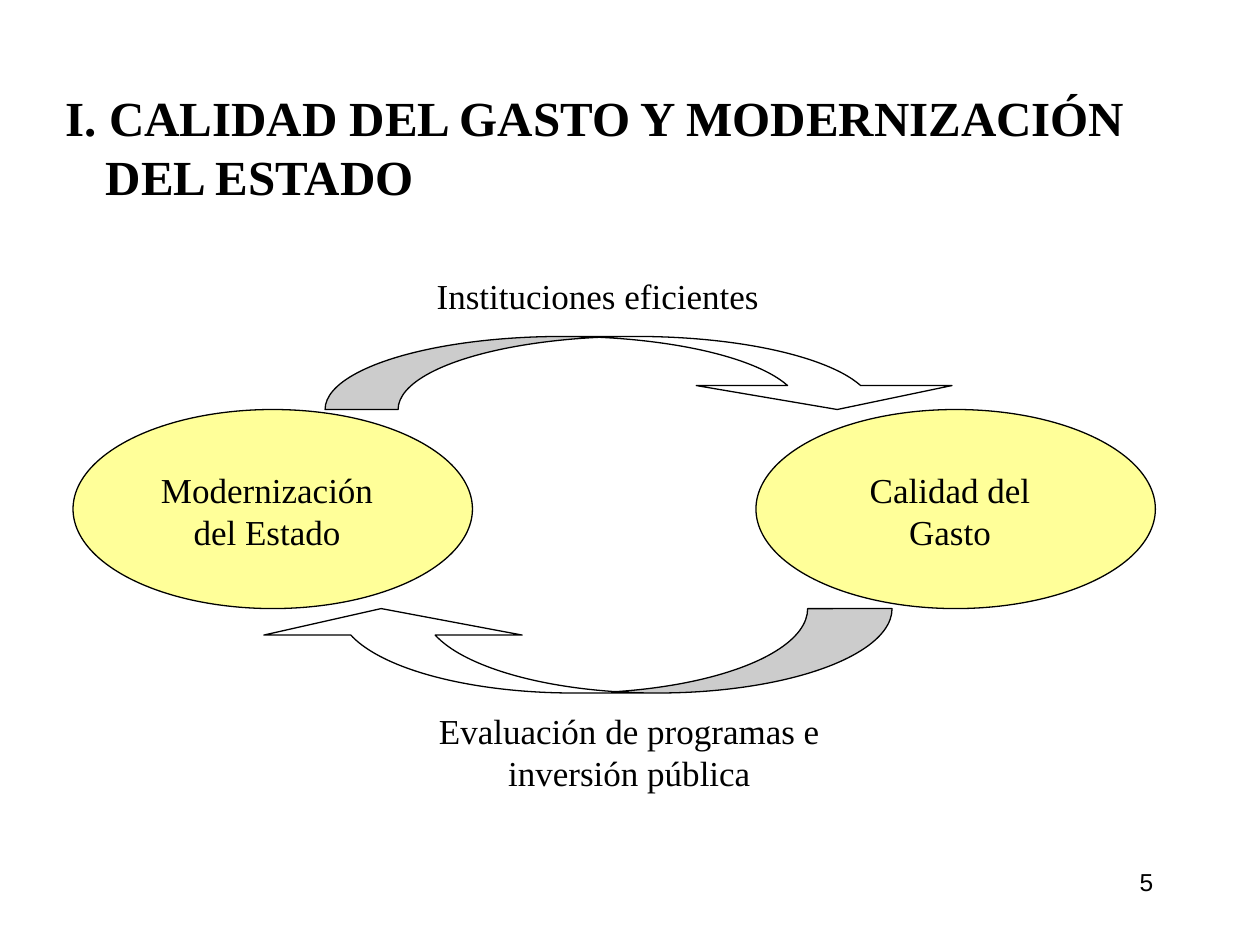
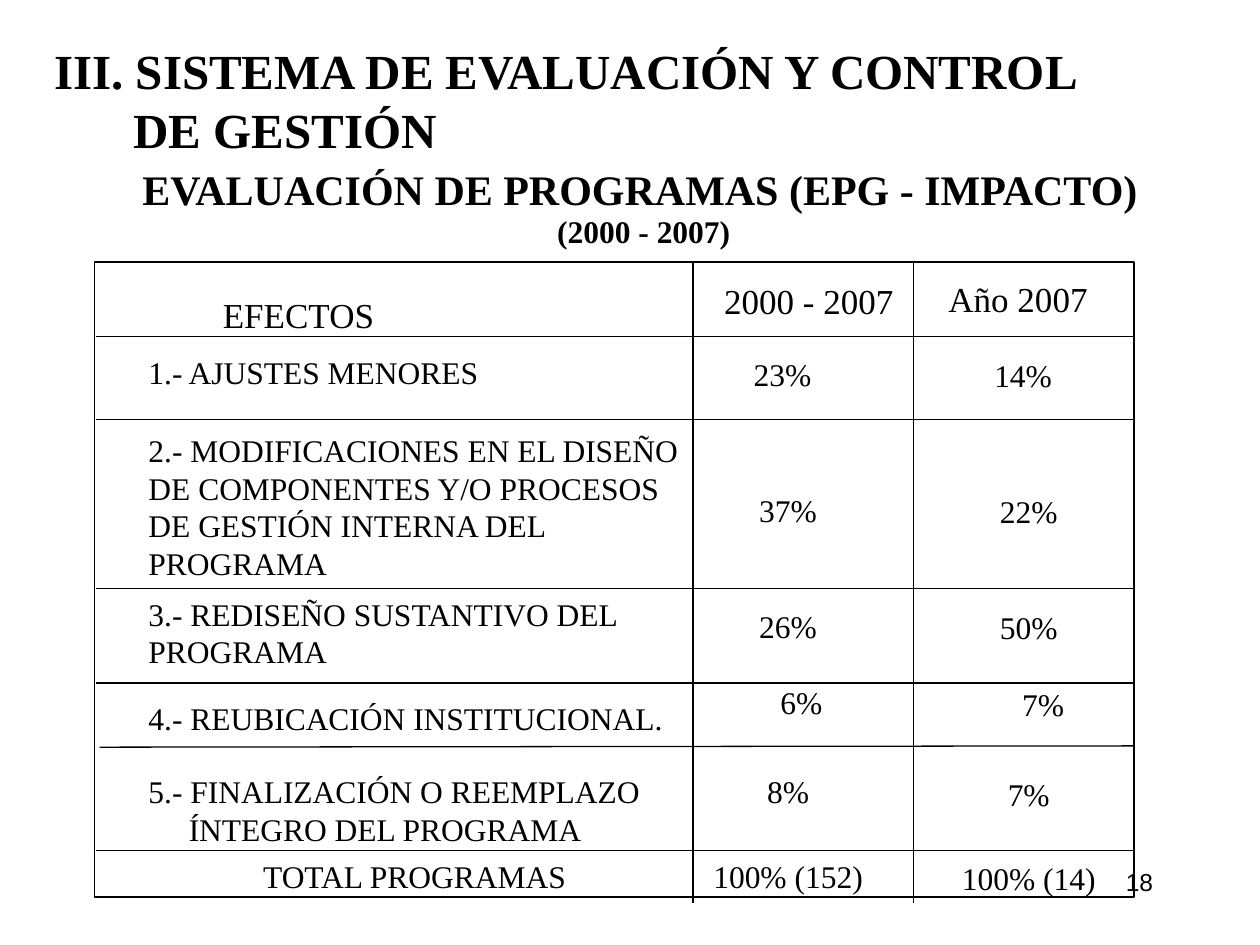
from dataclasses import dataclass

from lxml.etree import SubElement
from pptx import Presentation
from pptx.dml.color import RGBColor
from pptx.enum.shapes import MSO_CONNECTOR, MSO_SHAPE
from pptx.enum.text import MSO_ANCHOR, MSO_AUTO_SIZE, PP_ALIGN
from pptx.oxml.ns import qn
from pptx.util import Inches, Pt


@dataclass(frozen=True)
class Theme:
    ink: RGBColor = RGBColor(0x00, 0x00, 0x00)
    paper: RGBColor = RGBColor(0xFF, 0xFF, 0xFF)
    highlight: RGBColor = RGBColor(0xFF, 0xFF, 0x99)
    serif: str = "Times New Roman"
    sans: str = "Arial"
    title: int = 28
    subtitle: int = 24
    label: int = 20
    body: int = 18
    page: int = 14
    rule: float = 0.75


THEME = Theme()
LEFT, CENTER, RIGHT = PP_ALIGN.LEFT, PP_ALIGN.CENTER, PP_ALIGN.RIGHT

# Content: cycle slide. Boxes are (left, top, width, height)
CYCLE_TITLE = "I. CALIDAD DEL GASTO Y MODERNIZACIÓN DEL ESTADO"
CONCEPTS = [("Modernización del Estado", 0.58), ("Calidad del Gasto", 6)]
LINKS = [
    ("Instituciones eficientes", (2.83, 2.13, 3.83, 0.44)),
    ("Evaluación de programas e inversión pública", (3.08, 5.58, 3.83, 0.77)),
]
# Arrow box, turn, and widths of its band and head and length of its head
ARROWS = [
    ((2.58, 2.67, 5.08, 0.58), 0, (1.02, 2.03, 0.19)),
    ((2, 4.83, 5.08, 0.67), 180, (1.03, 2.05, 0.21)),
]

# Content: evaluation slide
EVALUATION_TITLE = "III. SISTEMA DE EVALUACIÓN Y CONTROL DE GESTIÓN"
SUBTITLES = [
    ("(2000 - 2007)", THEME.body, (0.86, 1.67, 8.5, 0.33)),
    ("EVALUACIÓN DE PROGRAMAS (EPG - IMPACTO)", THEME.subtitle, (0.83, 1.25, 8.5, 0.5)),
]
# Effect, its box; then the two shares, each as (text, left, top, width)
EFFECTS = [
    ("EFECTOS", (1.67, 2.28, 1.52, 0.44),
     [("2000 - 2007", 5.42, 2.17, 2), ("Año 2007", 7.08, 2.15, 2)]),
    ("1.- AJUSTES MENORES", (1.08, 2.75, 4.64, 0.4),
     [("23%", 5.17, 2.77, 2.08), ("14%", 7.08, 2.78, 2.08)]),
    ("2.- MODIFICACIONES EN EL DISEÑO DE COMPONENTES Y/O PROCESOS DE GESTIÓN "
     "INTERNA DEL PROGRAMA", (1.08, 3.37, 4.42, 1.3),
     [("37%", 5.17, 3.85, 2.17), ("22%", 7.08, 3.86, 2.17)]),
    ("3.- REDISEÑO SUSTANTIVO DEL PROGRAMA", (1.08, 4.67, 4.17, 0.7),
     [("26%", 5.17, 4.77, 2.17), ("50%", 7.08, 4.78, 2.17)]),
    ("4.- REUBICACIÓN INSTITUCIONAL.", (1.08, 5.5, 4.64, 0.4),
     [("6%", 6.08, 5.37, 0.56), ("7%", 8, 5.39, 0.56)]),
    ("5.- FINALIZACIÓN O REEMPLAZO ÍNTEGRO DEL PROGRAMA", (1.08, 6.08, 4.64, 0.7),
     [("8%", 5.17, 6.08, 2.17), ("7%", 7.08, 6.1, 2.17)]),
    ("TOTAL PROGRAMAS", (1.08, 6.75, 4.42, 0.4),
     [("100% (152)", 5.17, 6.75, 2.17), ("100% (14)", 7.08, 6.77, 2.17)]),
]
HANGING_EFFECT, TOTAL = 5, 6
GRID_FRAME = (0.75, 2.08, 8.25, 5.04)
COLUMN_RULES = [(x, 2.08, x, 7.17) for x in (5.5, 7.25)]
ROW_RULES = [(0.76, y, 9, y) for y in (2.67, 3.33, 4.67, 5.42, 6.75)]
SLANTED_RULE = (0.79, 5.93, 9, 5.92)


# Text helpers
def inches(box):
    return [Inches(length) for length in box]


def write(frame, text, size, align=CENTER, bold=False, font=THEME.serif, hanging=0):
    paragraph = frame.paragraphs[0]
    paragraph.alignment = align
    if hanging:
        properties = paragraph._p.get_or_add_pPr()
        properties.set("marL", str(Inches(hanging)))
        properties.set("indent", str(-Inches(hanging)))
    run = paragraph.add_run()
    run.text = text
    run.font.size, run.font.bold, run.font.name = Pt(size), bold, font
    run.font.color.rgb = THEME.ink


def add_text(slide, box, text, size, anchor=MSO_ANCHOR.TOP, **style):
    frame = slide.shapes.add_textbox(*inches(box)).text_frame
    frame.word_wrap = True
    frame.vertical_anchor = anchor
    write(frame, text, size, **style)


def add_titled_slide(deck, title, box, hanging, page):
    slide = deck.slides.add_slide(deck.slide_layouts[5])
    heading = slide.shapes.title
    heading.left, heading.top, heading.width, heading.height = inches(box)
    frame = heading.text_frame
    frame.auto_size = MSO_AUTO_SIZE.NONE
    frame.vertical_anchor = MSO_ANCHOR.MIDDLE
    write(frame, title, THEME.title, LEFT, bold=True, hanging=hanging)
    add_text(slide, (7.17, 6.83, 2.08, 0.5), page, THEME.page, align=RIGHT, font=THEME.sans)
    return slide


# Shape helpers
def add_outlined(slide, kind, box, fill=None):
    shape = slide.shapes.add_shape(kind, *inches(box))
    shape.shadow.inherit = False
    if fill is None:
        shape.fill.background()
    else:
        shape.fill.solid()
        shape.fill.fore_color.rgb = fill
    shape.line.color.rgb = THEME.ink
    shape.line.width = Pt(THEME.rule)
    return shape


def add_rule(slide, ends):
    rule = slide.shapes.add_connector(MSO_CONNECTOR.STRAIGHT, *inches(ends))
    rule.line.color.rgb = THEME.ink
    rule.line.width = Pt(THEME.rule)
    SubElement(rule._element.spPr, qn("a:effectLst"))


# Slides
def build_cycle(deck):
    slide = add_titled_slide(deck, CYCLE_TITLE, (0.42, 0.75, 9.25, 0.83), 0.32, "5")
    for concept, left in CONCEPTS:
        add_outlined(slide, MSO_SHAPE.OVAL, (left, 3.25, 3.17, 1.58), THEME.highlight)
        add_text(slide, (left + 0.5, 3.67, 2.08, 0.77), concept, THEME.label)
    for box, turn, parts in ARROWS:
        arrow = add_outlined(slide, MSO_SHAPE.CURVED_DOWN_ARROW, box, THEME.paper)
        arrow.rotation = turn
        for i, length in enumerate(parts):
            arrow.adjustments[i] = length / box[3]
    for link, box in LINKS:
        add_text(slide, box, link, THEME.label)


def build_evaluation(deck):
    slide = add_titled_slide(deck, EVALUATION_TITLE, (0.33, 0.33, 8.83, 0.92), 0.63, "18")
    for subtitle, size, box in SUBTITLES:
        add_text(slide, box, subtitle, size, MSO_ANCHOR.MIDDLE, bold=True)

    # Ruled grid
    add_outlined(slide, MSO_SHAPE.RECTANGLE, GRID_FRAME)
    for ends in COLUMN_RULES + ROW_RULES + [SLANTED_RULE]:
        add_rule(slide, ends)

    # Effects and their shares
    for row, (effect, box, shares) in enumerate(EFFECTS):
        size = THEME.body if row else THEME.label
        add_text(slide, box, effect, size, align=CENTER if row == TOTAL else LEFT,
                 hanging=0.32 if row == HANGING_EFFECT else 0)
        for share, left, top, width in shares:
            add_text(slide, (left, top, width, box[3] if row == 0 else 0.4), share, size)


def main():
    deck = Presentation()
    deck.slide_width, deck.slide_height = Inches(10), Inches(7.5)
    build_cycle(deck)
    build_evaluation(deck)
    deck.save("out.pptx")


if __name__ == "__main__":
    main()
